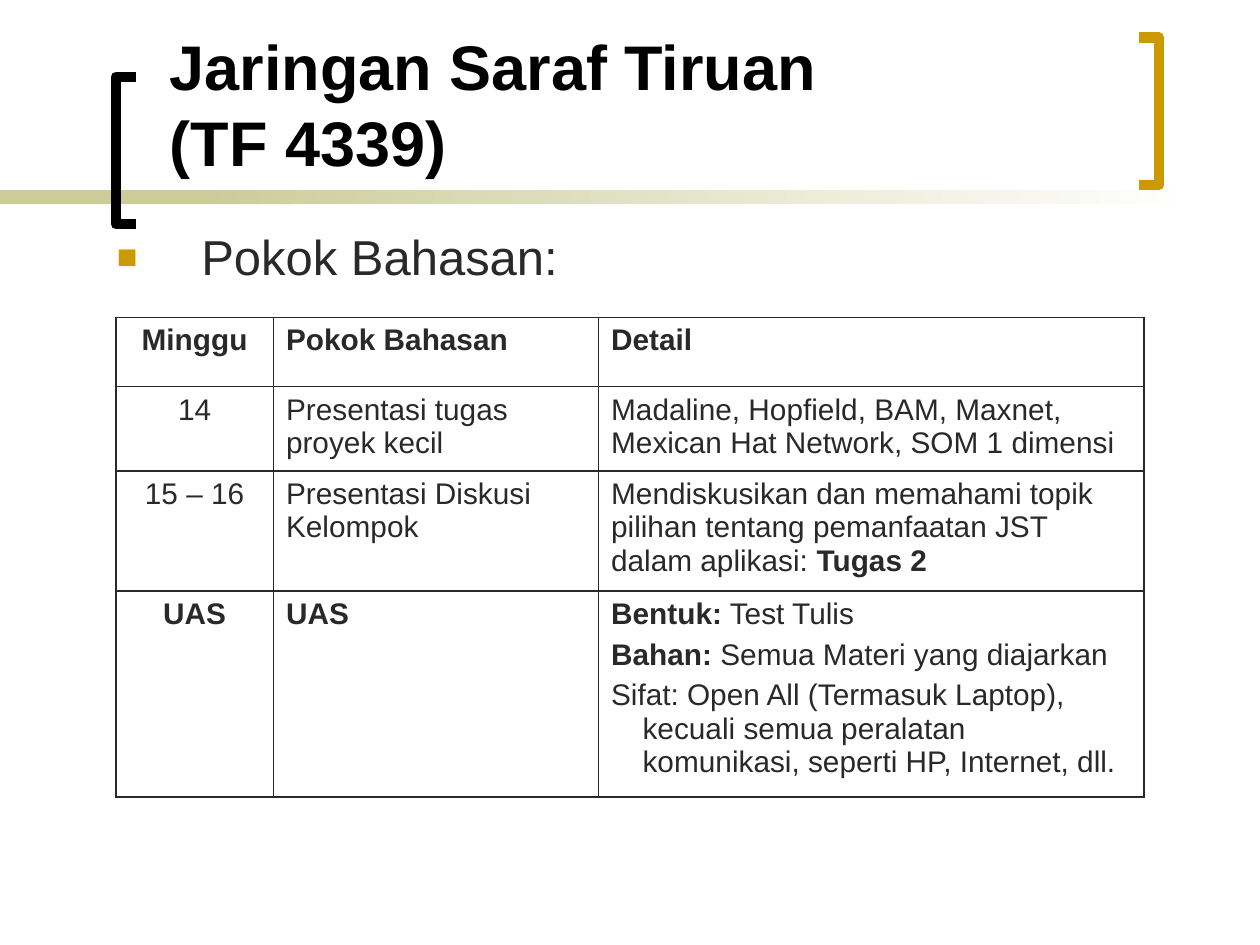
from dataclasses import dataclass

from lxml.etree import SubElement
from pptx import Presentation
from pptx.dml.color import RGBColor as RGB
from pptx.enum.text import MSO_ANCHOR as Anchor, PP_ALIGN as Align
from pptx.enum.shapes import MSO_SHAPE as Shape
from pptx.oxml import parse_xml
from pptx.oxml.ns import nsdecls, qn
from pptx.util import Inches, Pt


@dataclass(frozen=True)
class Theme:
    """Colours, font and sizes of the slide."""
    font: str = "Arial"
    black: str = "000000"
    ink: str = "292929"
    gold: str = "CC9900"
    sand: str = "CCCC99"
    white: str = "FFFFFF"
    title: float = 36
    body: float = 28
    cell: float = 17
    heavy: float = 1.08
    light: float = 0.45
    bracket: float = 6


T = Theme()
COLS = [1.25, 2.58, 4.33]
ROWS = [0.55, 0.67, 0.95, 1.63]
HANG = 0.25
CELLS = [
    [[[("Minggu", True)]], [[("Pokok Bahasan", True)]], [[("Detail", True)]]],
    [[[("14", False)]], [[("Presentasi tugas proyek kecil", False)]],
     [[("Madaline, Hopfield, BAM, Maxnet, Mexican Hat Network, SOM 1 dimensi", False)]]],
    [[[("15 – 16", False)]], [[("Presentasi Diskusi Kelompok", False)]],
     [[("Mendiskusikan dan memahami topik pilihan tentang pemanfaatan JST "
        "dalam aplikasi: ", False), ("Tugas 2", True)]]],
    [[[("UAS", True)]], [[("UAS", True)]],
     [[("Bentuk:", True), (" Test Tulis", False)],
      [("Bahan:", True), (" Semua Materi yang diajarkan", False)],
      [("Sifat: Open All (Termasuk Laptop), kecuali semua peralatan komunikasi, "
        "seperti HP, Internet, dll.", False)]]],
]


def style(p, size, color, before=0, hang=0):
    """Set font, space before and hanging indent of a paragraph."""
    p.font.name, p.font.size = T.font, Pt(size)
    p.font.color.rgb = RGB.from_string(color)
    p.space_before = Pt(before)
    if hang:
        pPr = p._p.get_or_add_pPr()
        pPr.set("marL", str(Inches(hang)))
        pPr.set("indent", str(-Inches(hang)))


def add_bullet(p, char, color, percent):
    """Give a paragraph a coloured bullet."""
    mark = p._p.pPr.find(qn("a:defRPr"))
    ns = nsdecls("a")
    for xml in (f'<a:buClr {ns}><a:srgbClr val="{color}"/></a:buClr>',
                f'<a:buSzPct {ns} val="{percent * 1000}"/>',
                f'<a:buFont {ns} typeface="{T.font}"/>',
                f'<a:buChar {ns} char="{char}"/>'):
        mark.addprevious(parse_xml(xml))


def add_text(s, box, text, size, color, anchor=Anchor.TOP, **layout):
    """Add a wrapped text box and return its paragraph."""
    tf = s.shapes.add_textbox(*map(Inches, box)).text_frame
    tf.word_wrap, tf.vertical_anchor = True, anchor
    p = tf.paragraphs[0]
    p.text = text
    style(p, size, color, **layout)
    return p


def add_band(s, left, width, end=None):
    """Add a piece of the title rule, fading to end if given."""
    sp = s.shapes.add_shape(Shape.RECTANGLE, *map(Inches, (left, 1.51, width, 0.11)))
    sp.shadow.inherit = False
    sp.line.fill.background()
    if end is None:
        sp.fill.solid()
        sp.fill.fore_color.rgb = RGB.from_string(T.sand)
        return
    sp.fill.gradient()
    sp.fill.gradient_angle = 0
    for stop, color, position in zip(sp.fill.gradient_stops, (T.sand, end), (0, 1)):
        stop.color.rgb, stop.position = RGB.from_string(color), position


def add_bracket(s, tip, spine, top, color):
    """Add an open square bracket."""
    bottom = top + 1.17
    points = [(Inches(x), Inches(y)) for x, y in
              ((tip, top), (spine, top), (spine, bottom), (tip, bottom))]
    fb = s.shapes.build_freeform(*points[0])
    fb.add_line_segments(points[1:], close=False)
    sp = fb.convert_to_shape()
    sp.shadow.inherit = False
    sp.fill.background()
    sp.line.color.rgb, sp.line.width = RGB.from_string(color), Pt(T.bracket)


def set_borders(cell, **widths):
    """Draw the four cell borders, in points."""
    tcPr = cell._tc.get_or_add_tcPr()
    for i, side in enumerate("LRTB"):
        ln = SubElement(tcPr, qn(f"a:ln{side}"), w=str(Pt(widths[side])))
        SubElement(SubElement(ln, qn("a:solidFill")), qn("a:srgbClr"), val=T.ink)
        tcPr.insert(i, ln)


def fill_cell(cell, paragraphs, align):
    """Write paragraphs of (text, bold) runs into a cell."""
    cell.fill.background()
    tf = cell.text_frame
    for i, runs in enumerate(paragraphs):
        p = tf.add_paragraph() if i else tf.paragraphs[0]
        p.alignment = align
        style(p, T.cell, T.ink, before=4.2, hang=HANG if len(paragraphs) > 1 else 0)
        for text, bold in runs:
            r = p.add_run()
            r.text, r.font.bold = text, bold


def add_schedule(s):
    """Add the table of weeks and topics."""
    box = (0.92, 2.52, sum(COLS), sum(ROWS))
    table = s.shapes.add_table(len(ROWS), len(COLS), *map(Inches, box)).table
    table.first_row = table.horz_banding = False
    for col, width in zip(table.columns, COLS):
        col.width = Inches(width)
    for row, height in zip(table.rows, ROWS):
        row.height = Inches(height)
    for i, row in enumerate(CELLS):
        for j, paragraphs in enumerate(row):
            cell = table.cell(i, j)
            fill_cell(cell, paragraphs, Align.LEFT if j else Align.CENTER)
            set_borders(cell, L=T.light if j else T.heavy,
                        R=T.light if j < len(COLS) - 1 else T.heavy,
                        T=T.light if i == 1 else T.heavy,
                        B=T.heavy if i else T.light)


def main():
    """Build and save the slide."""
    prs = Presentation()
    prs.slide_width, prs.slide_height = Inches(10), Inches(7.5)
    s = prs.slides.add_slide(prs.slide_layouts[6])
    add_band(s, 0, 2.33)
    add_band(s, 1.58, 7.92, T.white)
    add_bracket(s, 1.08, 0.92, 0.61, T.black)
    add_bracket(s, 9.04, 9.2, 0.3, T.gold)
    p = add_text(s, (0.83, 1.75, 8.67, 0.58), "Pokok Bahasan:", T.body, T.ink,
                 before=7, hang=0.67)
    add_bullet(p, "■", T.gold, 70)
    add_schedule(s)
    p = add_text(s, (1.25, 0.17, 7.58, 1.3), "Jaringan Saraf Tiruan\v(TF 4339)",
                 T.title, T.black, Anchor.BOTTOM)
    p.font.bold = True
    prs.save("out.pptx")


if __name__ == "__main__":
    main()
